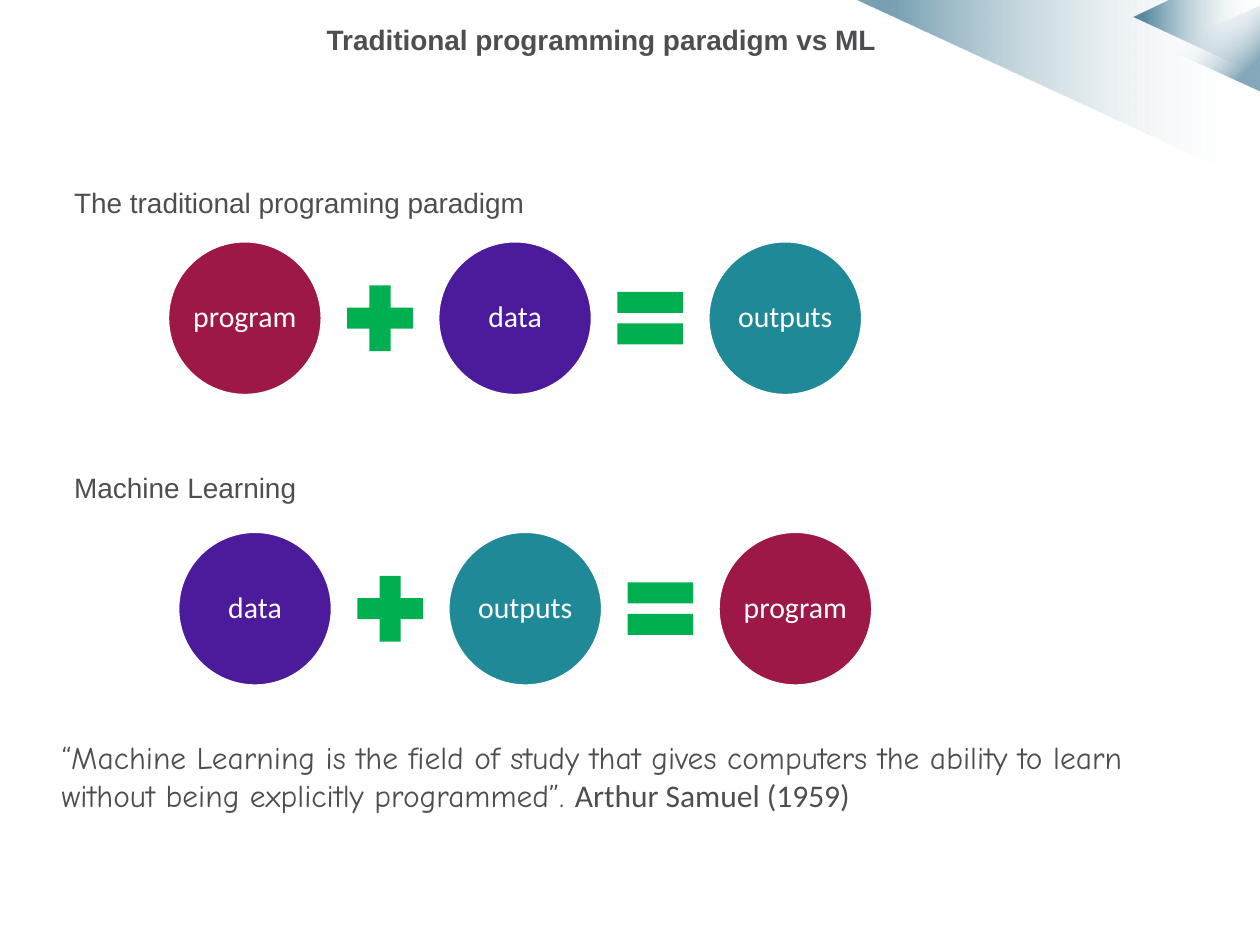
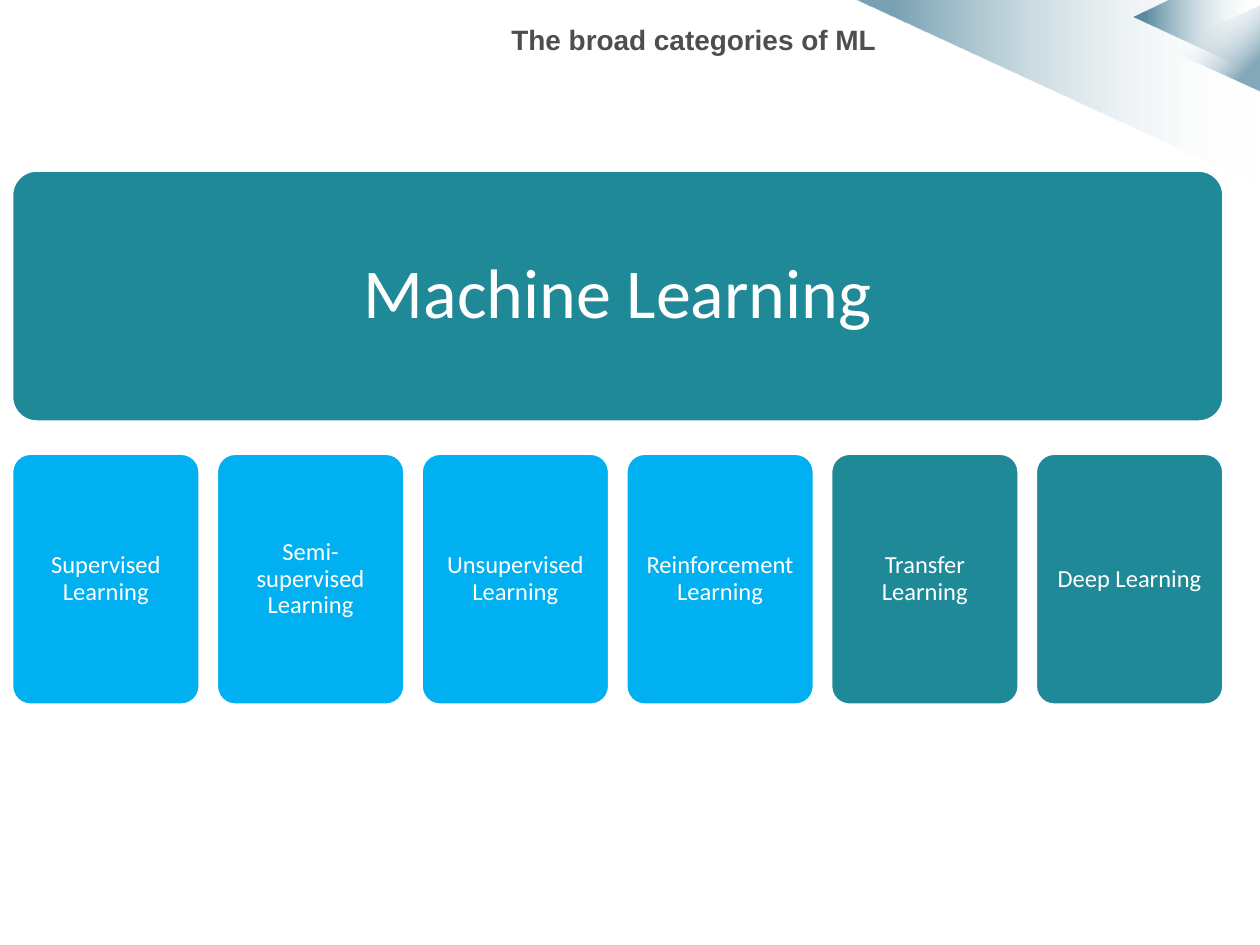
"""Build two slides on machine learning against traditional programming."""
from lxml import etree
from pptx import Presentation
from pptx.dml.color import RGBColor
from pptx.enum import shapes as kinds, text as modes
from pptx.oxml import ns
from pptx.util import Pt

WHITE = RGBColor(0xFF, 0xFF, 0xFF)
GREY = RGBColor(0x4F, 0x4D, 0x50)
NAVY = RGBColor(0x00, 0x4D, 0x6F)
RED = RGBColor(0x9D, 0x17, 0x47)
PURPLE = RGBColor(0x4C, 0x1B, 0x9B)
TEAL = RGBColor(0x20, 0x89, 0x98)
GREEN = RGBColor(0x00, 0xB0, 0x50)
BLUE = RGBColor(0x00, 0xB0, 0xF0)

SHAPE = kinds.MSO_SHAPE
ALIGN = modes.PP_ALIGN
HUES = {"program": RED, "data": PURPLE, "outputs": TEAL}
KINDS = (
    ("Supervised Learning", BLUE),
    ("Semi-supervised Learning", BLUE),
    ("Unsupervised Learning", BLUE),
    ("Reinforcement Learning", BLUE),
    ("Transfer Learning", TEAL),
    ("Deep Learning", TEAL),
)
DISC, STEP, SIGN = 88.5, 154.4, 51
EDGE, TILE, PITCH, HIGH = 6.6, 107.8, 117, 144


def style(run, size, name, color, bold=False):
    """Format one run."""
    font = run.font
    font.size, font.name, font.bold = Pt(size), name, bold
    font.color.rgb = color


def fade(shape, angle, start, end, alpha):
    """Fill a shape with a gradient from clear white to navy."""
    shape.shadow.inherit = False
    shape.line.fill.background()
    shape.fill.gradient()
    shape.fill.gradient_angle = angle
    stops = zip(shape.fill.gradient_stops, ((start, WHITE, 0), (end, NAVY, alpha)))
    for stop, (place, color, _) in stops:
        stop.position, stop.color.rgb = place, color
    tints = shape._element.spPr.iter(ns.qn("a:srgbClr"))
    for tint, level in zip(tints, (0, alpha)):
        etree.SubElement(tint, ns.qn("a:alpha")).set("val", str(level * 1000))


def wedge(slide, points, alpha):
    """Draw a faded polygon in the corner."""
    first, *rest = [(Pt(x), Pt(y)) for x, y in points]
    path = slide.shapes.build_freeform(*first)
    path.add_line_segments(rest)
    fade(path.convert_to_shape(), 180, 0.01, 0.91, alpha)


def write(slide, words, box, size=16, bold=False, align=ALIGN.LEFT, space=1):
    """Add a wrapped text box and return its paragraph."""
    frame = slide.shapes.add_textbox(*map(Pt, box)).text_frame
    frame.word_wrap = True
    para = frame.paragraphs[0]
    para.text = words
    para.alignment, para.line_spacing = align, space
    style(para.runs[0], size, "Arial", GREY, bold)
    return para


def block(slide, kind, box, color, words="", size=17, inset=1.4):
    """Add a filled shape with centred white words."""
    shape = slide.shapes.add_shape(kind, *map(Pt, box))
    shape.shadow.inherit = False
    shape.fill.solid()
    shape.fill.fore_color.rgb = color
    if not words:
        shape.line.fill.background()
        return
    shape.line.color.rgb, shape.line.width = WHITE, Pt(2)
    if kind == SHAPE.ROUNDED_RECTANGLE:
        shape.adjustments[0] = 0.1
    frame = shape.text_frame
    frame.word_wrap = True
    frame.vertical_anchor = modes.MSO_ANCHOR.MIDDLE
    frame.margin_left = frame.margin_right = Pt(inset)
    frame.margin_top = frame.margin_bottom = Pt(inset)
    frame.text = words
    para = frame.paragraphs[0]
    para.alignment, para.line_spacing = ALIGN.CENTER, 0.9
    style(para.runs[0], size, "Calibri", WHITE)


def begin(deck, title):
    """Add a slide with the corner art and a title."""
    slide = deck.slides.add_slide(deck.slide_layouts[6])
    wedge(slide, ((719.3, 105.8), (488.9, 0), (720, 0)), 53)
    wedge(slide, ((720, 43.2), (648, 10), (669, 0), (720, 0)), 63)
    tip = slide.shapes.add_shape(
        SHAPE.ISOSCELES_TRIANGLE, Pt(668.9), Pt(0.7), Pt(49), Pt(54))
    tip.rotation = 270
    fade(tip, 225, 0.27, 0.81, 48)
    write(slide, title, (144.7, 9.4, 363, 33), bold=True, align=ALIGN.RIGHT)
    return slide


def sums(slide, left, top, names):
    """Draw discs joined by a plus and an equals sign."""
    for i, name in enumerate(names):
        box = (left + i * STEP, top, DISC, DISC)
        block(slide, SHAPE.OVAL, box, HUES[name], name)
    mid = (DISC + STEP - SIGN) / 2
    for i, sign in enumerate((SHAPE.MATH_PLUS, SHAPE.MATH_EQUAL)):
        box = (left + mid + i * STEP, top + (DISC - SIGN) / 2, SIGN, SIGN)
        block(slide, sign, box, GREEN)


def contrast(deck):
    """Build the slide that sets both paradigms side by side."""
    slide = begin(deck, "Traditional programming paradigm vs ML")
    write(slide, "The traditional programing paradigm", (35.3, 92.9, 663, 29), space=1.5)
    sums(slide, 95.7, 137.6, ("program", "data", "outputs"))
    write(slide, "Machine Learning", (35.3, 255.6, 663, 29), space=1.5)
    sums(slide, 101.5, 303.6, ("data", "outputs", "program"))
    para = write(
        slide,
        "“Machine Learning is the field of study that gives computers the "
        "ability to learn without being explicitly programmed”. ",
        (28.1, 418.3, 631.4, 51))
    para.add_run().text = "Arthur Samuel (1959)"
    for run, name in zip(para.runs, ("Comic Neue", "Calibri")):
        style(run, 18, name, GREY)


def family(deck):
    """Build the slide of the categories."""
    slide = begin(deck, "The broad categories of ML")
    card = SHAPE.ROUNDED_RECTANGLE
    wide = (len(KINDS) - 1) * PITCH + TILE
    block(slide, card, (EDGE, 97.2, wide, HIGH), TEAL, "Machine Learning", 40, 12)
    for i, (name, color) in enumerate(KINDS):
        box = (EDGE + i * PITCH, 259, TILE, HIGH)
        block(slide, card, box, color, name, 14, 4.2)


def main():
    """Build and save the deck."""
    deck = Presentation()
    deck.slide_width, deck.slide_height = Pt(720), Pt(540)
    contrast(deck)
    family(deck)
    deck.save("out.pptx")


if __name__ == "__main__":
    main()
